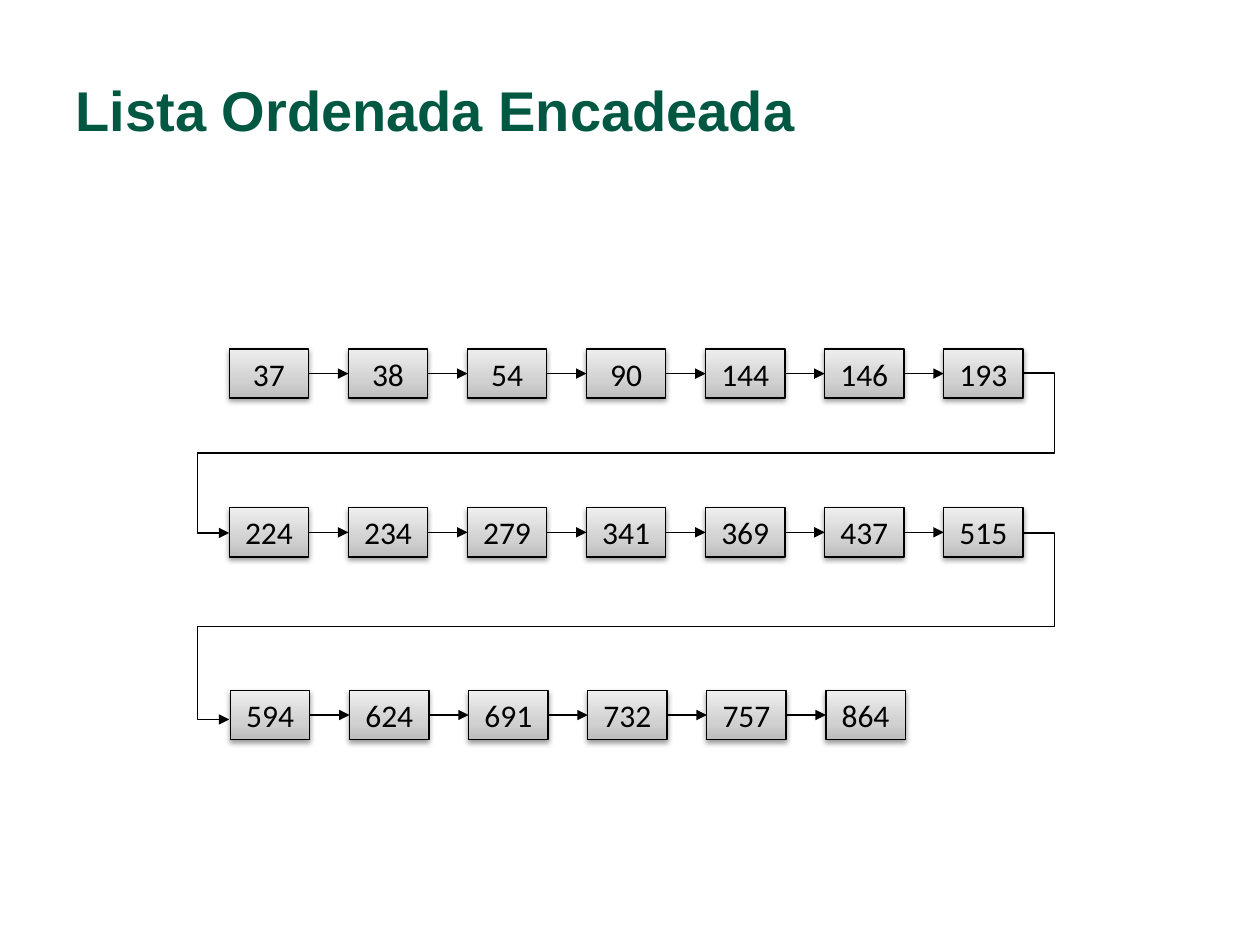
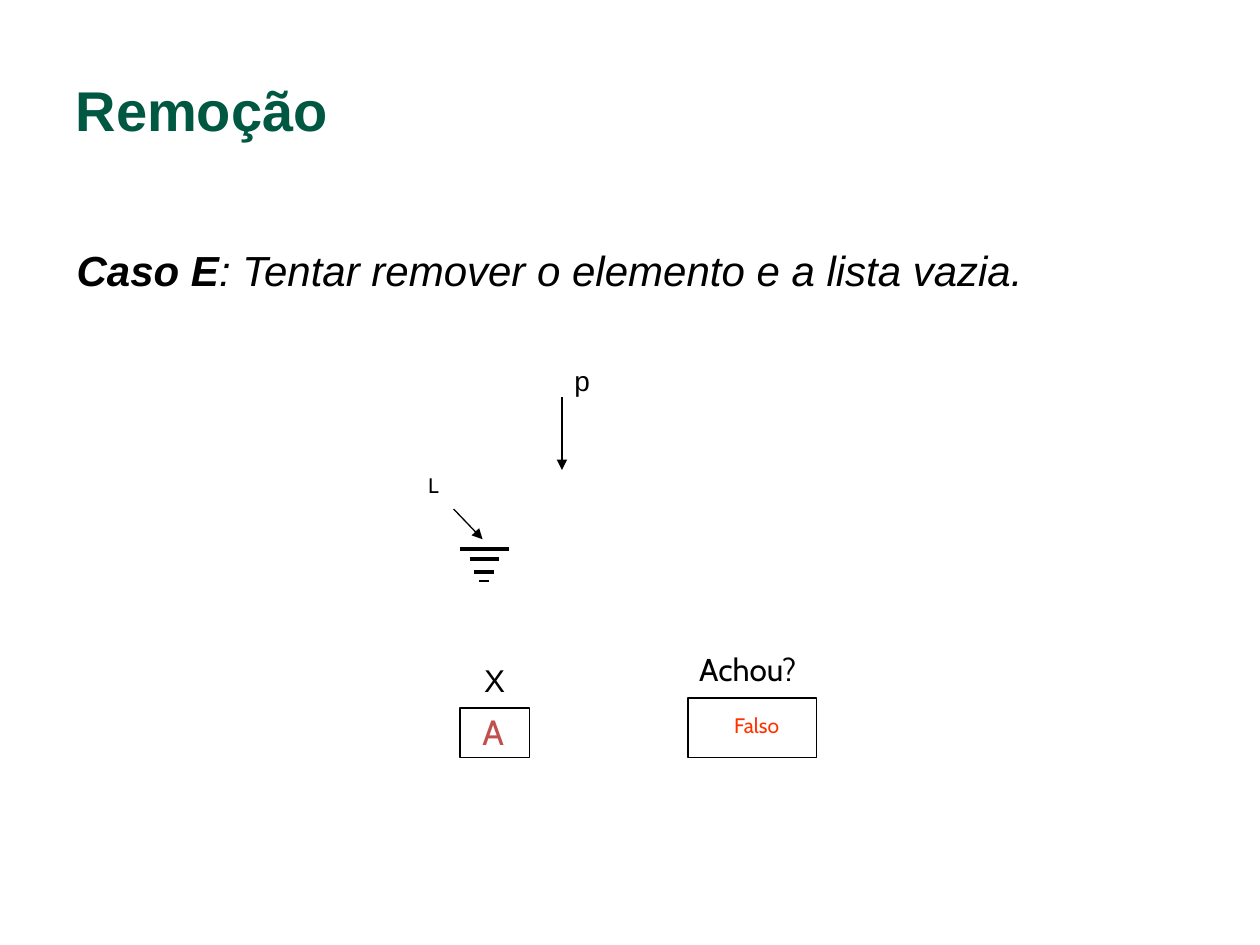
from copy import deepcopy

from lxml.etree import SubElement
from pptx import Presentation
from pptx.dml.color import RGBColor
from pptx.enum.shapes import MSO_CONNECTOR as Connector, MSO_SHAPE as Shape
from pptx.enum.text import MSO_ANCHOR as Anchor, PP_ALIGN as Align
from pptx.oxml.ns import qn
from pptx.util import Inches, Pt

GREEN = RGBColor(0x00, 0x58, 0x42)
BLACK = RGBColor(0x00, 0x00, 0x00)
RED = RGBColor(0xC0, 0x50, 0x4D)
ORANGE = RGBColor(0xFF, 0x33, 0x00)
NODE_GRADIENT = [
    (0, RGBColor(0xBD, 0xBD, 0xBD)),
    (0.35, RGBColor(0xD1, 0xD1, 0xD1)),
    (1, RGBColor(0xEE, 0xEE, 0xEE)),
]

LIST_TITLE = "Lista Ordenada Encadeada"
NODE_ROWS = [
    (1.82, 2.77, [37, 38, 54, 90, 144, 146, 193]),
    (1.82, 4.03, [224, 234, 279, 341, 369, 437, 515]),
    (1.83, 5.48, [594, 624, 691, 732, 757, 864]),
]
NODE_WIDTH, NODE_HEIGHT, NODE_STEP = 0.63, 0.39, 0.945
ROW_LINKS = [((8.12, 2.96), (1.82, 4.23)), ((8.12, 4.23), (1.82, 5.71))]
LINK_BENDS = [-4000, 50000, 104000]

REMOVAL_TITLE = "Remoção"
CASE_BOX = (0.51, 1.93, 8.11, 0.47)
CASE_RUNS = [("Caso E", True), (": Tentar remover o elemento e a lista vazia.", False)]
VALUE_BOXES = [(5.46, 5.54, 1.02, 0.47), (3.65, 5.62, 0.55, 0.39)]
LABELS = [
    ("L", (3.28, 3.72, 0.32, 0.3), "Cabin", 12, BLACK, Align.CENTER),
    ("Achou?", (5.07, 5.14, 1.73, 0.33), "Cabin", 18, BLACK, Align.CENTER),
    ("Falso", (5.46, 5.62, 1.09, 0.3), "Cabin", 12, ORANGE, Align.CENTER),
    ("X", (3.57, 5.22, 0.71, 0.4), "Arial", 18, BLACK, Align.CENTER),
    ("A", (3.73, 5.62, 0.39, 0.42), "Cabin", 20, RED, Align.LEFT),
    ("p", (4.46, 2.86, 0.31, 0.37), "Arial", 16, BLACK, Align.LEFT),
]
POINTERS = [((3.6, 4.04), (3.83, 4.28)), ((4.46, 3.15), (4.46, 3.73))]
GROUND_BARS = [
    (3.65, 4.04, 4.36, 2.25),
    (3.73, 3.96, 4.44, 2.25),
    (3.76, 3.92, 4.54, 2.25),
    (3.8, 3.88, 4.61, 1.5),
]


def inches(values):
    return [Inches(value) for value in values]


def add_run(paragraph, text, font, size, color, bold=False, italic=False):
    run = paragraph.add_run()
    run.text = text
    run.font.name = font
    run.font.size = Pt(size)
    run.font.color.rgb = color
    run.font.bold = bold
    run.font.italic = italic


def add_titled_slide(presentation, text):
    slide = presentation.slides.add_slide(presentation.slide_layouts[5])
    title = slide.shapes.title
    title.left, title.top, title.width, title.height = inches((0.5, 0.55, 9, 1))
    title.text_frame.vertical_anchor = Anchor.TOP
    paragraph = title.text_frame.paragraphs[0]
    paragraph.alignment = Align.LEFT
    add_run(paragraph, text, "Arial", 32, GREEN, bold=True)
    return slide


def add_text(slide, box, alignment):
    frame = slide.shapes.add_textbox(*inches(box)).text_frame
    frame.word_wrap = True
    paragraph = frame.paragraphs[0]
    paragraph.alignment = alignment
    paragraph.line_spacing = 0.93
    return paragraph


def add_box(slide, box):
    shape = slide.shapes.add_shape(Shape.RECTANGLE, *inches(box))
    shape.shadow.inherit = False
    shape.fill.background()
    shape.line.color.rgb = BLACK
    shape.line.width = Pt(0.75)
    return shape


def add_node(slide, value, left, top):
    node = add_box(slide, (left, top, NODE_WIDTH, NODE_HEIGHT))
    node.fill.gradient()
    node.fill.gradient_angle = 90
    properties = node._element.spPr
    stop_list = properties.find(".//" + qn("a:gsLst"))
    stop_list.append(deepcopy(stop_list[0]))
    for stop, (position, color) in zip(node.fill.gradient_stops, NODE_GRADIENT):
        stop.position = position
        stop.color.rgb = color
    effects = properties.find(qn("a:effectLst"))
    shadow = SubElement(effects, qn("a:outerShdw"), blurRad=str(Pt(3.1)),
                        dist=str(Pt(1.6)), dir="5400000", rotWithShape="0")
    shadow_color = SubElement(shadow, qn("a:srgbClr"), val=str(BLACK))
    SubElement(shadow_color, qn("a:alpha"), val="38000")
    node.text_frame.vertical_anchor = Anchor.MIDDLE
    paragraph = node.text_frame.paragraphs[0]
    paragraph.alignment = Align.CENTER
    add_run(paragraph, str(value), "Calibri", 18, BLACK)


def add_line(slide, start, end, width=0.75, arrow=True, bends=()):
    kind = Connector.ELBOW if bends else Connector.STRAIGHT
    line = slide.shapes.add_connector(kind, *inches(start + end))
    line.line.color.rgb = BLACK
    line.line.width = Pt(width)
    properties = line._element.spPr
    if arrow:
        SubElement(properties.find(qn("a:ln")), qn("a:tailEnd"), type="triangle")
    SubElement(properties, qn("a:effectLst"))
    if bends:
        geometry = properties.find(qn("a:prstGeom"))
        geometry.set("prst", "bentConnector5")
        adjustments = geometry.find(qn("a:avLst"))
        for number, bend in enumerate(bends, 1):
            SubElement(adjustments, qn("a:gd"), name=f"adj{number}", fmla=f"val {bend}")


def build_list_slide(presentation):
    slide = add_titled_slide(presentation, LIST_TITLE)
    for left, top, values in NODE_ROWS:
        middle = top + NODE_HEIGHT / 2
        for column, value in enumerate(values):
            node_left = left + column * NODE_STEP
            add_node(slide, value, node_left, top)
            if column:
                previous_right = node_left - NODE_STEP + NODE_WIDTH
                add_line(slide, (previous_right, middle), (node_left, middle))
    for start, end in ROW_LINKS:
        add_line(slide, start, end, bends=LINK_BENDS)


def build_removal_slide(presentation):
    slide = add_titled_slide(presentation, REMOVAL_TITLE)
    case = add_text(slide, CASE_BOX, Align.JUSTIFY)
    for text, bold in CASE_RUNS:
        add_run(case, text, "Arial", 24, BLACK, bold, italic=True)
    for box in VALUE_BOXES:
        add_box(slide, box)
    for text, box, font, size, color, alignment in LABELS:
        add_run(add_text(slide, box, alignment), text, font, size, color)
    for start, end in POINTERS:
        add_line(slide, start, end)
    for left, right, height, width in GROUND_BARS:
        add_line(slide, (left, height), (right, height), width, arrow=False)


def main():
    presentation = Presentation()
    presentation.slide_width, presentation.slide_height = inches((10, 7.5))
    build_list_slide(presentation)
    build_removal_slide(presentation)
    presentation.save("out.pptx")


if __name__ == "__main__":
    main()
